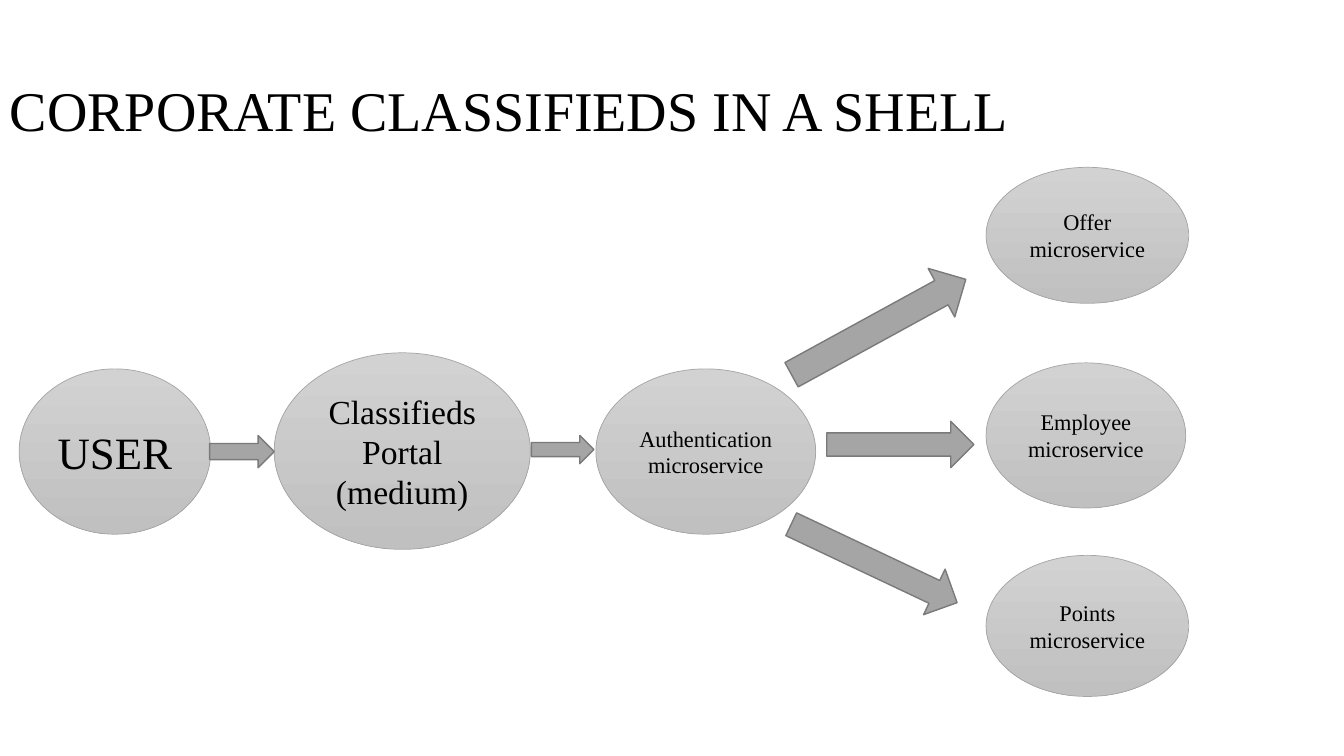
from pptx import Presentation
from pptx.dml.color import RGBColor
from pptx.enum.shapes import MSO_SHAPE as Shape
from pptx.enum.text import MSO_ANCHOR as Anchor, PP_ALIGN as Align
from pptx.util import Inches, Pt

FONT = "Times New Roman"
COLORS = {
    "text": "000000",
    "node_top": "D2D2D2",
    "node_bottom": "C0C0C0",
    "node_line": "A5A5A5",
    "arrow": "A5A5A5",
    "arrow_line": "7A7A7A",
}
TITLE = ("CORPORATE CLASSIFIEDS IN A SHELL", (0, 0.4, 11.14, 1.45), 40)

# text, (left, top, width, height), font size
NODES = [
    ("USER", (0.19, 3.66, 1.9, 1.64), 32),
    ("Classifieds Portal (medium)", (2.72, 3.5, 2.54, 1.95), 24),
    ("Authentication microservice", (5.91, 3.66, 2.18, 1.64), 16),
    ("Offer microservice", (9.78, 1.66, 2.01, 1.35), 16),
    ("Employee microservice", (9.78, 3.6, 1.98, 1.44), 16),
    ("Points microservice", (9.78, 5.51, 2.01, 1.4), 16),
]
# (left, top, width, height), rotation in degrees
ARROWS = [
    ((2.08, 4.32, 0.64, 0.32), 0),
    ((5.27, 4.32, 0.62, 0.28), 0),
    ((7.73, 2.97, 1.97, 0.55), 331.3),
    ((8.2, 4.18, 1.46, 0.46), 0),
    ((7.76, 5.34, 1.82, 0.5), 25.3),
]


def color(name):
    return RGBColor.from_string(COLORS[name])


def write(box, text, size, align):
    frame = box.text_frame
    frame.word_wrap = True
    frame.vertical_anchor = Anchor.MIDDLE
    para = frame.paragraphs[0]
    para.text = text
    para.alignment = align
    para.font.name = FONT
    para.font.size = Pt(size)
    para.font.color.rgb = color("text")
    return para


def add_outlined(slide, kind, place, line, weight):
    shape = slide.shapes.add_shape(kind, *map(Inches, place))
    shape.shadow.inherit = False
    shape.line.color.rgb = color(line)
    shape.line.width = Pt(weight)
    return shape


def add_node(slide, text, place, size):
    node = add_outlined(slide, Shape.OVAL, place, "node_line", 0.5)
    node.fill.gradient()
    node.fill.gradient_angle = 270
    for stop, name in zip(node.fill.gradient_stops, ("node_top", "node_bottom")):
        stop.color.rgb = color(name)
    write(node, text, size, Align.CENTER)


def add_arrow(slide, place, rotation):
    arrow = add_outlined(slide, Shape.RIGHT_ARROW, place, "arrow_line", 1)
    arrow.fill.solid()
    arrow.fill.fore_color.rgb = color("arrow")
    arrow.rotation = rotation


def main():
    deck = Presentation()
    deck.slide_width, deck.slide_height = Inches(13.33), Inches(7.5)
    slide = deck.slides.add_slide(deck.slide_layouts[6])

    text, place, size = TITLE
    title = slide.shapes.add_textbox(*map(Inches, place))
    write(title, text, size, Align.LEFT).line_spacing = 0.9

    for node in NODES:
        add_node(slide, *node)
    for arrow in ARROWS:
        add_arrow(slide, *arrow)
    deck.save("out.pptx")


if __name__ == "__main__":
    main()
